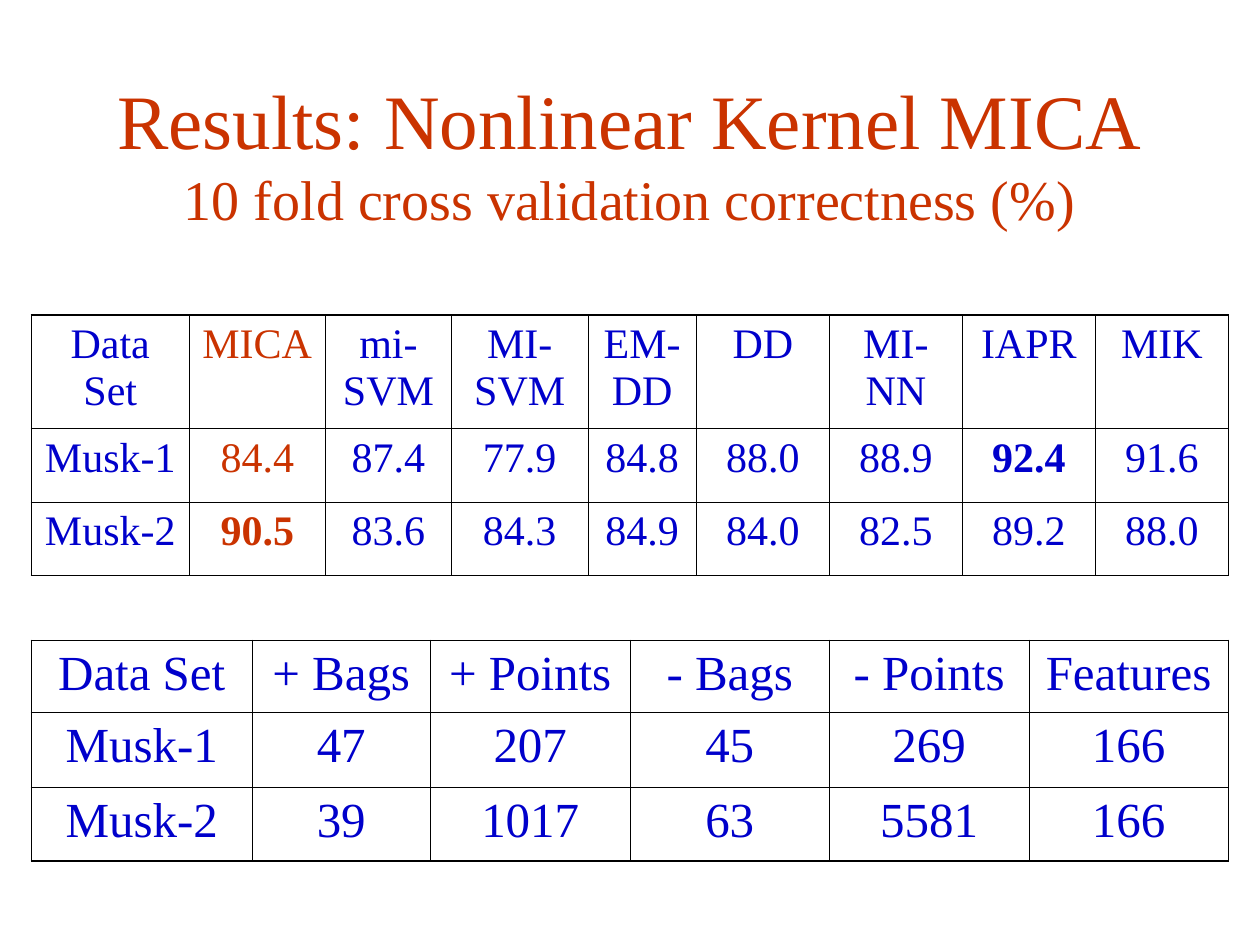
from lxml.etree import SubElement
from pptx import Presentation
from pptx.dml.color import RGBColor
from pptx.enum.text import MSO_ANCHOR as ANCHOR, PP_ALIGN as ALIGN
from pptx.oxml.ns import qn
from pptx.util import Inches, Pt

COLORS = {"accent": "CA3300", "text": "0000CB", "border": "000000"}
FONT = "Times New Roman"
THIN, THICK = 0.45, 1.08  # border widths in points


class SlideBuilder:
    """Places elements on a grid of 12 units to the inch."""

    def __init__(self, prs):
        self.slide = prs.slides.add_slide(prs.slide_layouts[6])

    def grid(self, units):
        return Inches(units / 12)

    def style(self, font, size, color, bold=False):
        font.name, font.size, font.bold = FONT, Pt(size), bold
        font.color.rgb = RGBColor.from_string(COLORS[color])

    def title(self, box, lines):
        sp = self.slide.shapes.add_textbox(*map(self.grid, box))
        tf = sp.text_frame
        tf.word_wrap, tf.vertical_anchor = True, ANCHOR.MIDDLE
        p = tf.paragraphs[0]
        p.alignment = ALIGN.CENTER
        for i, (text, size) in enumerate(lines):
            if i:
                p.add_line_break()
            r = p.add_run()
            r.text = text
            self.style(r.font, size, "accent")

    def borders(self, cell, widths):
        tc_pr = cell._tc.get_or_add_tcPr()
        for side, width in zip("LRTB", widths):
            ln = SubElement(tc_pr, qn(f"a:ln{side}"), w=str(Pt(width)))
            fill = SubElement(ln, qn("a:solidFill"))
            SubElement(fill, qn("a:srgbClr"), val=COLORS["border"])

    def table(self, left, top, cols, rows, data, size, space,
              accent_col=None, bold=()):
        box = map(self.grid, (left, top, sum(cols), sum(rows)))
        table = self.slide.shapes.add_table(len(rows), len(cols), *box).table
        table.first_row = table.horz_banding = False
        for col, width in zip(table.columns, cols):
            col.width = self.grid(width)
        for row, height in zip(table.rows, rows):
            row.height = self.grid(height)
        last_row, last_col = len(rows) - 1, len(cols) - 1
        for i, values in enumerate(data):
            for j, value in enumerate(values):
                cell = table.cell(i, j)
                cell.text = value
                p = cell.text_frame.paragraphs[0]
                p.alignment, p.space_before = ALIGN.CENTER, Pt(space)
                color = "accent" if j == accent_col else "text"
                self.style(p.font, size, color, (i, j) in bold)
                # Outer edges are thicker than inner ones
                outer = (j == 0, j == last_col, i == 0, i == last_row)
                self.borders(cell, [THICK if edge else THIN for edge in outer])
                cell.fill.background()


def main():
    prs = Presentation()
    prs.slide_width, prs.slide_height = Inches(10), Inches(7.5)
    s = SlideBuilder(prs)

    # Title
    s.title((9, 8, 102, 13), [
        ("Results: Nonlinear Kernel MICA", 44),
        ("10 fold cross validation correctness (%)", 32),
    ])

    # Correctness of each method, best value per data set in bold
    s.table(3, 30, [15, 13, 12, 13, 10.33] + [12.67] * 4, [10.8, 7, 7], [
        ["Data Set", "MICA", "mi-SVM", "MI-SVM", "EM-DD", "DD", "MI-NN", "IAPR", "MIK"],
        ["Musk-1", "84.4", "87.4", "77.9", "84.8", "88.0", "88.9", "92.4", "91.6"],
        ["Musk-2", "90.5", "83.6", "84.3", "84.9", "84.0", "82.5", "89.2", "88.0"],
    ], size=24, space=6, accent_col=1, bold={(1, 7), (2, 1)})

    # Size of each data set
    s.table(3, 61, [21, 17] + [19] * 4, [6.84, 7.16, 7], [
        ["Data Set", "+ Bags", "+ Points", "- Bags", "- Points", "Features"],
        ["Musk-1", "47", "207", "45", "269", "166"],
        ["Musk-2", "39", "1017", "63", "5581", "166"],
    ], size=28, space=7)

    prs.save("out.pptx")


if __name__ == "__main__":
    main()
